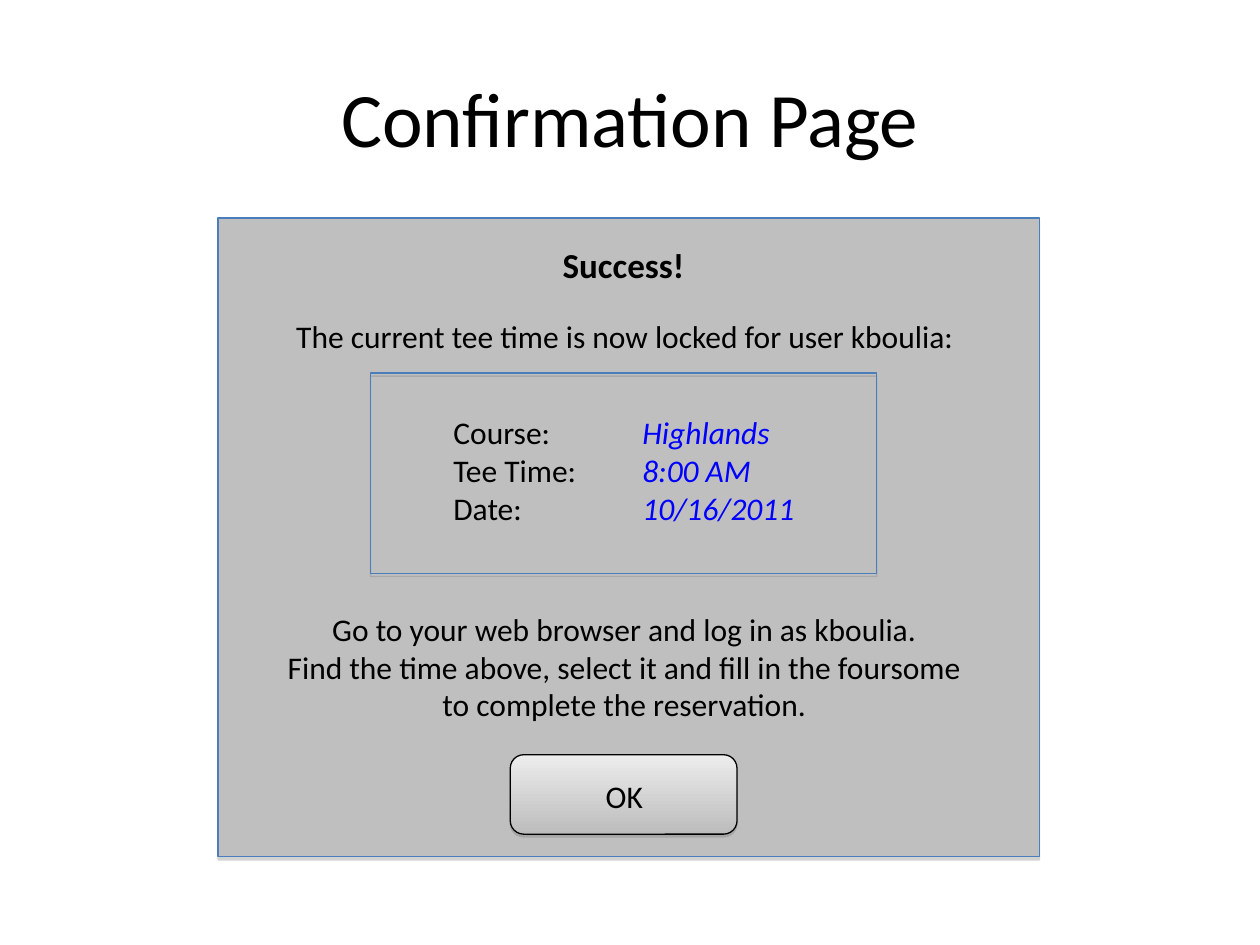
from lxml.etree import SubElement
from pptx import Presentation
from pptx.dml.color import RGBColor
from pptx.enum.shapes import MSO_SHAPE as Shape
from pptx.enum.text import MSO_ANCHOR as Anchor, MSO_AUTO_SIZE as AutoSize, PP_ALIGN as Align
from pptx.oxml.ns import qn
from pptx.util import Pt

FONT = "Calibri"
BLACK, BLUE, BORDER, PANEL = "000000", "0000FF", "4A7EBB", "BFBFBF"
BUTTON_STOPS = ("EDEDED", "BCBCBC")
VALUE_TAB = 108

TITLE = "Confirmation Page"
MESSAGES = [
    ((314.6, 135.4, 83.5, 31.7), ["Success!"], 20, True),
    ((161.3, 177.8, 391.7, 28.8),
     ["The current tee time is now locked for user kboulia:"], 18, False),
    ((148.3, 344.9, 416.9, 72),
     ["Go to your web browser and log in as kboulia.",
      "Find the time above, select it and fill in the foursome to complete the reservation."],
     18, False),
]
BOOKING = [("Course:", "Highlands"), ("Tee Time:", "8:00 AM"), ("Date:", "10/16/2011")]
BUTTON_LABEL = "OK"

PANEL_AREA = (124.6, 124.6, 469.4, 365)
BOOKING_AREA = (211.7, 213.1, 289.4, 114.5)
BOOKING_TEXT_AREA = (252, 232.6, 209.5, 72)
BUTTON_AREA = (291.6, 431.3, 129.6, 45.4)
LABEL_AREA = (339.1, 440.6, 35.3, 28.8)


def rgb(value):
    return RGBColor.from_string(value)


def place(shape, area):
    shape.left, shape.top, shape.width, shape.height = map(Pt, area)


def set_font(font, size, color=BLACK, bold=False):
    font.name, font.size, font.bold = FONT, Pt(size), bold
    font.color.rgb = rgb(color)


def add_outline(page, kind, area, line, alpha, distance):
    shape = page.shapes.add_shape(kind, *map(Pt, area))
    shape.line.color.rgb = rgb(line)
    shape.line.width = Pt(0.75)
    shape.shadow.inherit = False
    effects = shape._element.spPr.find(qn("a:effectLst"))
    shadow = SubElement(effects, qn("a:outerShdw"), blurRad="0",
                        dist=str(Pt(distance)), dir="5400000", rotWithShape="0")
    color = SubElement(shadow, qn("a:srgbClr"), val="808080")
    SubElement(color, qn("a:alpha"), val=str(alpha * 1000))
    return shape


def add_text(page, area, lines, size=18, bold=False, align=Align.CENTER):
    box = page.shapes.add_textbox(*map(Pt, area))
    frame = box.text_frame
    frame.word_wrap = len(lines) > 1
    frame.auto_size = AutoSize.SHAPE_TO_FIT_TEXT
    if len(lines) == 1:
        frame.margin_left = frame.margin_right = Pt(0)
    frame.text = "\n".join(lines)
    for para in frame.paragraphs:
        para.alignment = align
        set_font(para.font, size, bold=bold)
    return frame


def add_booking(page):
    frame = add_text(page, BOOKING_TEXT_AREA,
                     [f"{label}\t" for label, _ in BOOKING], align=Align.LEFT)
    for para, (_, value) in zip(frame.paragraphs, BOOKING):
        tabs = para._p.get_or_add_pPr()
        stops = tabs.makeelement(qn("a:tabLst"))
        SubElement(stops, qn("a:tab"), pos=str(Pt(VALUE_TAB)), algn="l")
        tabs.insert(0, stops)
        span = para.add_run()
        span.text = value
        span.font.italic = True
        span.font.color.rgb = rgb(BLUE)


def main():
    deck = Presentation()
    deck.slide_width, deck.slide_height = Pt(720), Pt(540)
    page = deck.slides.add_slide(deck.slide_layouts[5])

    title = page.shapes.title
    place(title, (36, 21.6, 648, 90))
    title.text_frame.text = TITLE
    title.text_frame.vertical_anchor = Anchor.MIDDLE
    heading = title.text_frame.paragraphs[0]
    heading.alignment = Align.CENTER
    set_font(heading.font, 44)

    panel = add_outline(page, Shape.RECTANGLE, PANEL_AREA, BORDER, 35, 1.8)
    panel.fill.solid()
    panel.fill.fore_color.rgb = rgb(PANEL)

    frame = add_outline(page, Shape.RECTANGLE, BOOKING_AREA, BORDER, 35, 1.8)
    frame.fill.background()
    add_booking(page)

    button = add_outline(page, Shape.ROUNDED_RECTANGLE, BUTTON_AREA, BLACK, 38, 1.6)
    button.adjustments[0] = 0.17
    button.fill.gradient()
    button.fill.gradient_angle = 270
    for stop, color in zip(button.fill.gradient_stops, BUTTON_STOPS):
        stop.color.rgb = rgb(color)
    add_text(page, LABEL_AREA, [BUTTON_LABEL])

    for area, lines, size, bold in MESSAGES:
        add_text(page, area, lines, size, bold)

    deck.save("out.pptx")


if __name__ == "__main__":
    main()
